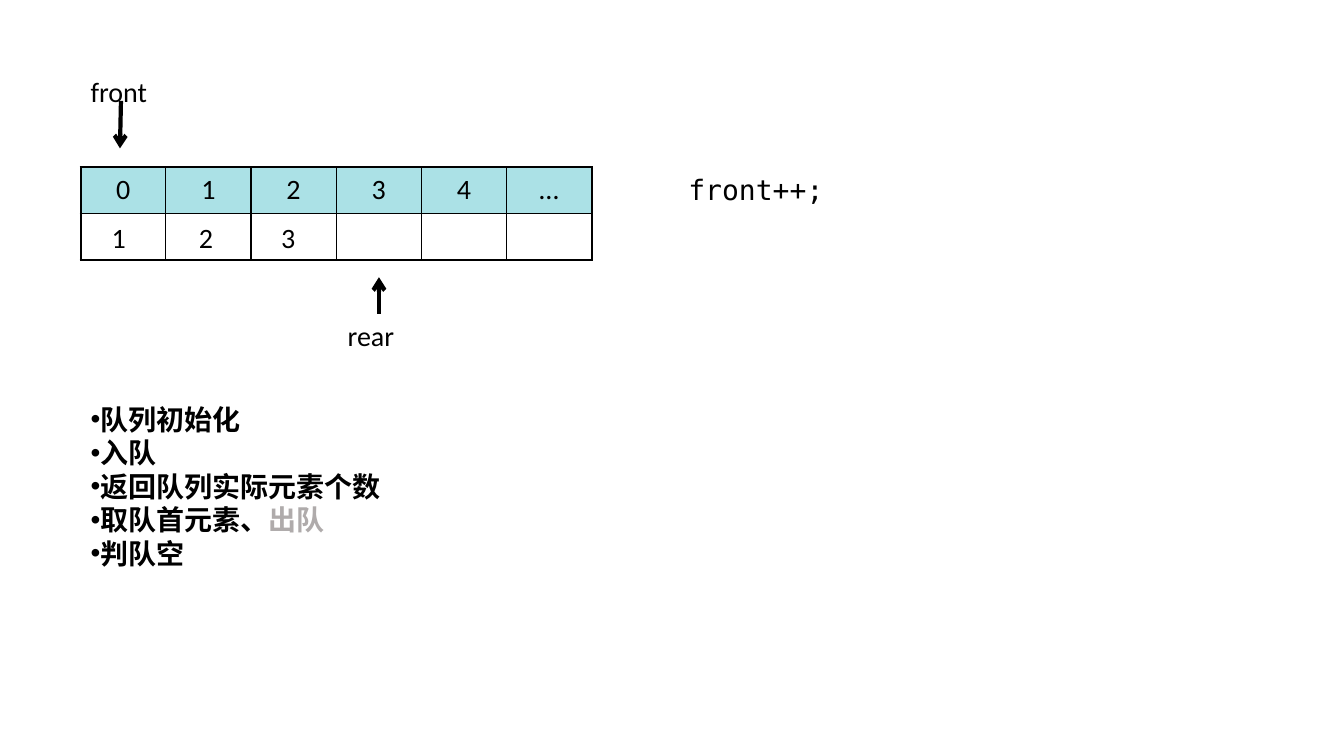
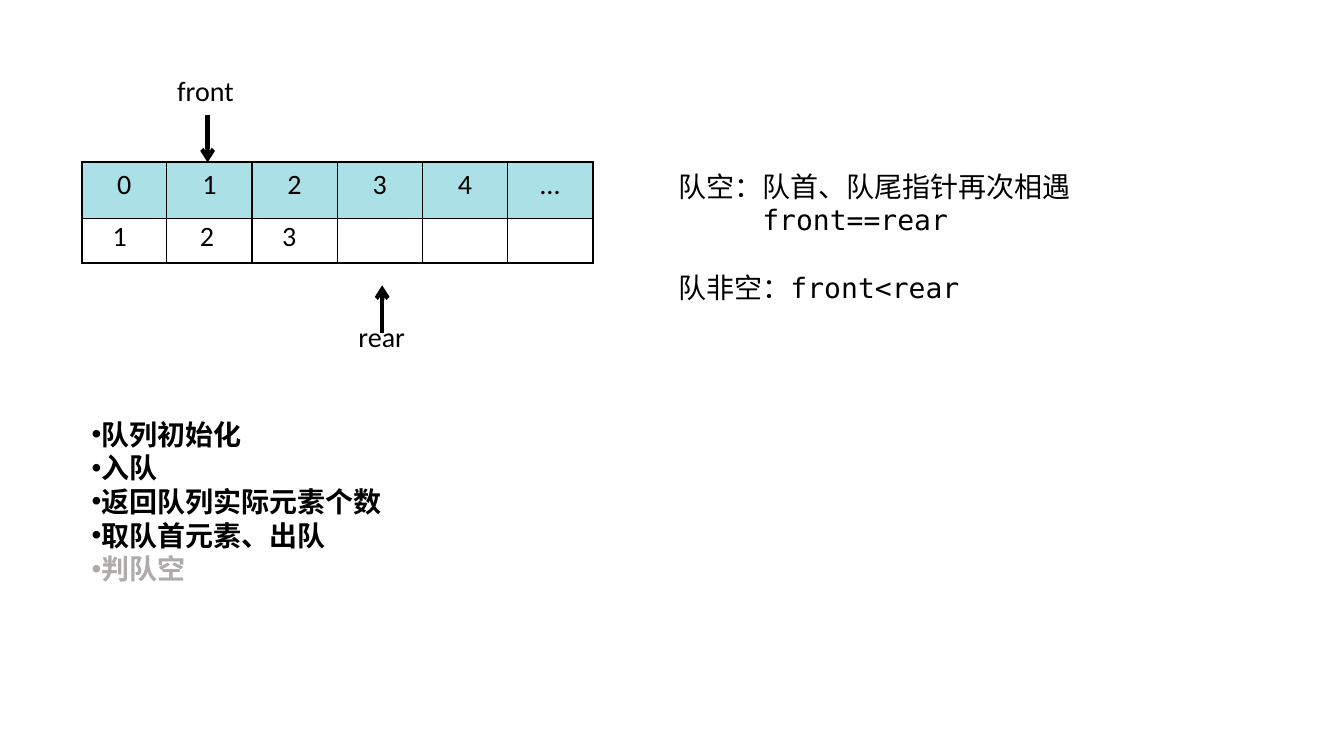
from lxml import etree
from pptx import Presentation
from pptx.dml.color import RGBColor
from pptx.enum import shapes, text
from pptx.oxml.ns import qn
from pptx.util import Pt

COLORS = {"ink": "000000", "dim": "AFABAB", "head": "28B2C0", "cell": "FFFFFF"}
SANS, MONO, HAN = "Calibri", "DejaVu Sans Mono", "Noto Sans CJK SC"
SIZE, PITCH, LABEL = 20, 24, 31.7
STEPS = ["队列初始化", "入队", "返回队列实际元素个数", "取队首元素、出队", "判队空"]
HEADS = ["0", "1", "2", "3", "4", "…"]
QUEUE = {"1": 15.1, "2": 77.4, "3": 136.1}  # value: offset from table left
WIDTH = 365


def rgb(name):
    return RGBColor.from_string(COLORS[name])


def style(para, face, color="ink", bold=False):
    """Set the paragraph font, with a matching face for Chinese text."""
    font = para.font
    font.name, font.size, font.bold = face, Pt(SIZE), bold
    font.color.rgb = rgb(color)
    base = para._p.pPr.find(qn("a:defRPr"))
    etree.SubElement(base, qn("a:ea"), typeface=HAN)
    return base


def add_box(group, left, top, width, height, wrap=False):
    box = group.add_textbox(Pt(left), Pt(top), Pt(width), Pt(height))
    box.text_frame.word_wrap = wrap
    return box.text_frame


def add_label(group, words, left, top, width, face=SANS):
    para = add_box(group, left, top, width, LABEL).paragraphs[0]
    para.text = words
    style(para, face)


def add_lines(frame, lines):
    """Fill a frame with evenly pitched paragraphs and yield each one."""
    for i, line in enumerate(lines):
        para = frame.add_paragraph() if i else frame.paragraphs[0]
        para.line_spacing = Pt(PITCH)
        para.text = line
        yield para


def add_steps(slide, left, top, dim):
    """List the queue operations, with the words in dim greyed."""
    frame = add_box(slide.shapes, left, top, 222.5, 128)
    for para, step in zip(add_lines(frame, STEPS), STEPS):
        base = style(para, HAN, "dim" if step == dim else "ink", True)
        for tag, attrs in (("a:buFont", {"typeface": "Arial"}),
                           ("a:buChar", {"char": "•"})):
            mark = etree.Element(qn(tag), attrs)
            base.addprevious(mark)
        if step != dim and step.endswith(dim):
            para.runs[0].text = step[:-len(dim)]
            run = para.add_run()
            run.text = dim
            run.font.color.rgb = rgb("dim")


def add_pointer(slide, name, label, start, end):
    """Group a pointer name with its arrow."""
    group = slide.shapes.add_group_shape().shapes
    add_label(group, name, *label)
    line = group.add_connector(shapes.MSO_CONNECTOR.STRAIGHT,
                               *map(Pt, start + end))
    line.line.color.rgb = rgb("ink")
    line.line.width = Pt(3)
    etree.SubElement(line.line._get_or_add_ln(), qn("a:tailEnd"), type="arrow")
    etree.SubElement(line._element.spPr, qn("a:effectLst"))


def add_border(cell, side, width):
    edge = etree.SubElement(cell._tc.get_or_add_tcPr(), qn("a:ln" + side),
                            w=str(Pt(width)))
    fill = etree.SubElement(edge, qn("a:solidFill"))
    etree.SubElement(fill, qn("a:srgbClr"), val=COLORS["ink"])


def add_queue(slide, left, top, rows, base):
    """Draw the array table and the queued values over its second row."""
    table = slide.shapes.add_table(2, len(HEADS), Pt(left), Pt(top),
                                   Pt(WIDTH), Pt(sum(rows))).table
    table.first_row = table.horz_banding = False
    last = len(HEADS) - 1
    for r, height in enumerate(rows):
        table.rows[r].height = Pt(height)
        for c, head in enumerate(HEADS):
            cell = table.cell(r, c)
            outer = {"L": c == 0, "R": c == last, "T": r == 0, "B": r == 1}
            for side, thick in outer.items():
                add_border(cell, side, 1.5 if thick else 1)
            cell.fill.solid()
            cell.fill.fore_color.rgb = rgb("cell" if r else "head")
            para = cell.text_frame.paragraphs[0]
            if r == 0:
                tint = cell._tc.tcPr.find(qn("a:solidFill"))[0]
                etree.SubElement(tint, qn("a:alpha"), val="39000")
                para.text = head
                para.alignment = text.PP_ALIGN.CENTER
            style(para, SANS)
    for value, shift in QUEUE.items():
        add_label(slide.shapes, value, left + shift, base, 24.5)


def add_rules(slide):
    """State the empty and non-empty conditions."""
    frame = add_box(slide.shapes, 477.4, 117.4, 391, 104.4, True)
    rules = ["队空：队首、队尾指针再次相遇", "front==rear", "队非空：front<rear"]
    paras = list(add_lines(frame, rules))
    for para in paras:
        style(para, MONO)
    paras[1]._p.pPr.set("marL", str(Pt(60)))
    paras[2].space_before = Pt(PITCH)


def main():
    deck = Presentation()
    deck.slide_width, deck.slide_height = Pt(960), Pt(540)
    blank = deck.slide_layouts[6]

    # Dequeue
    slide = deck.slides.add_slide(blank)
    add_steps(slide, 57.6, 283.7, "出队")
    add_label(slide.shapes, "front++;", 484.6, 119.5, 124.6, MONO)
    add_queue(slide, 57.6, 119.5, (33, 33), 154)
    add_pointer(slide, "front", (57.6, 49.7, 54.7), (86.4, 72), (85.7, 106))
    add_pointer(slide, "rear", (241.2, 224, 49), (270.7, 224), (270.7, 198))

    # Empty test
    slide = deck.slides.add_slide(blank)
    add_steps(slide, 58.3, 294.5, "判队空")
    add_queue(slide, 58.3, 116, (40.3, 31.7), 152.6)
    add_pointer(slide, "front", (119.5, 49, 54.7), (148.3, 82), (148.3, 116))
    add_pointer(slide, "rear", (249, 224.6, 47.5), (273, 237.6), (273, 203.8))
    add_rules(slide)

    deck.save("out.pptx")


if __name__ == "__main__":
    main()
